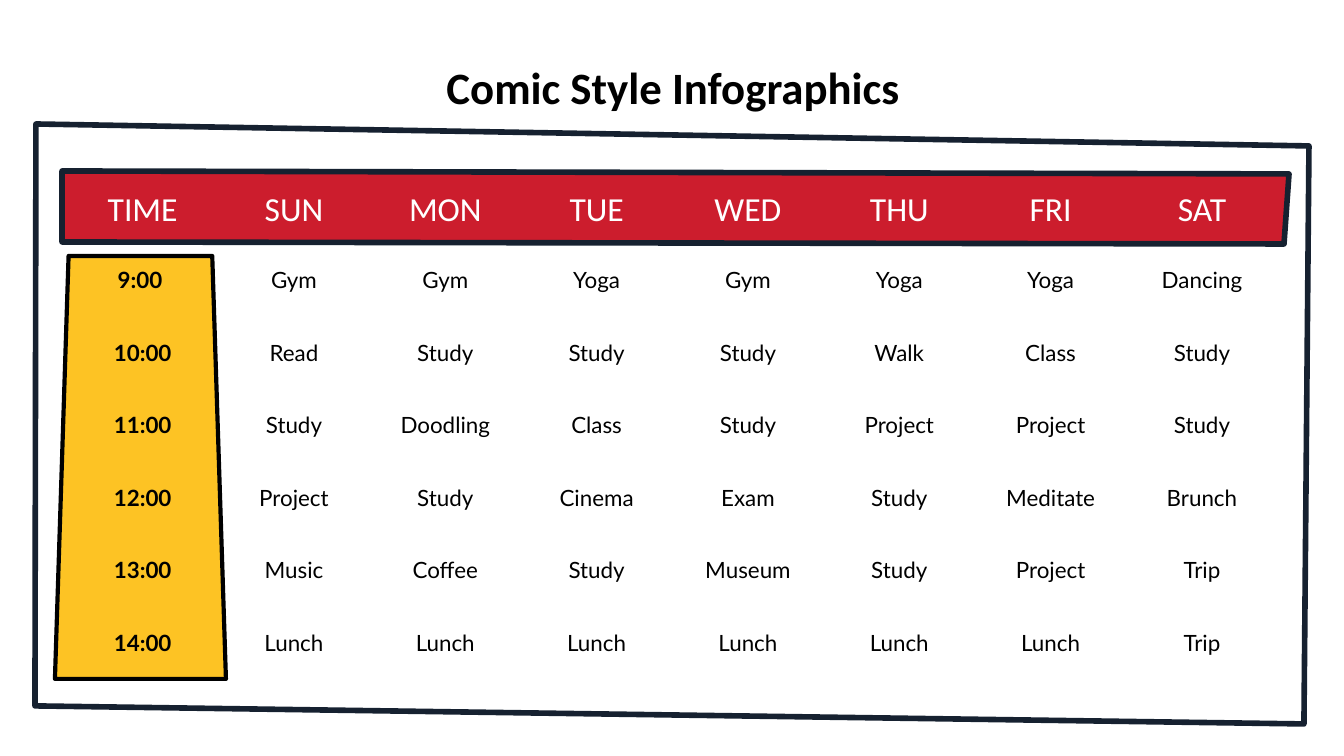
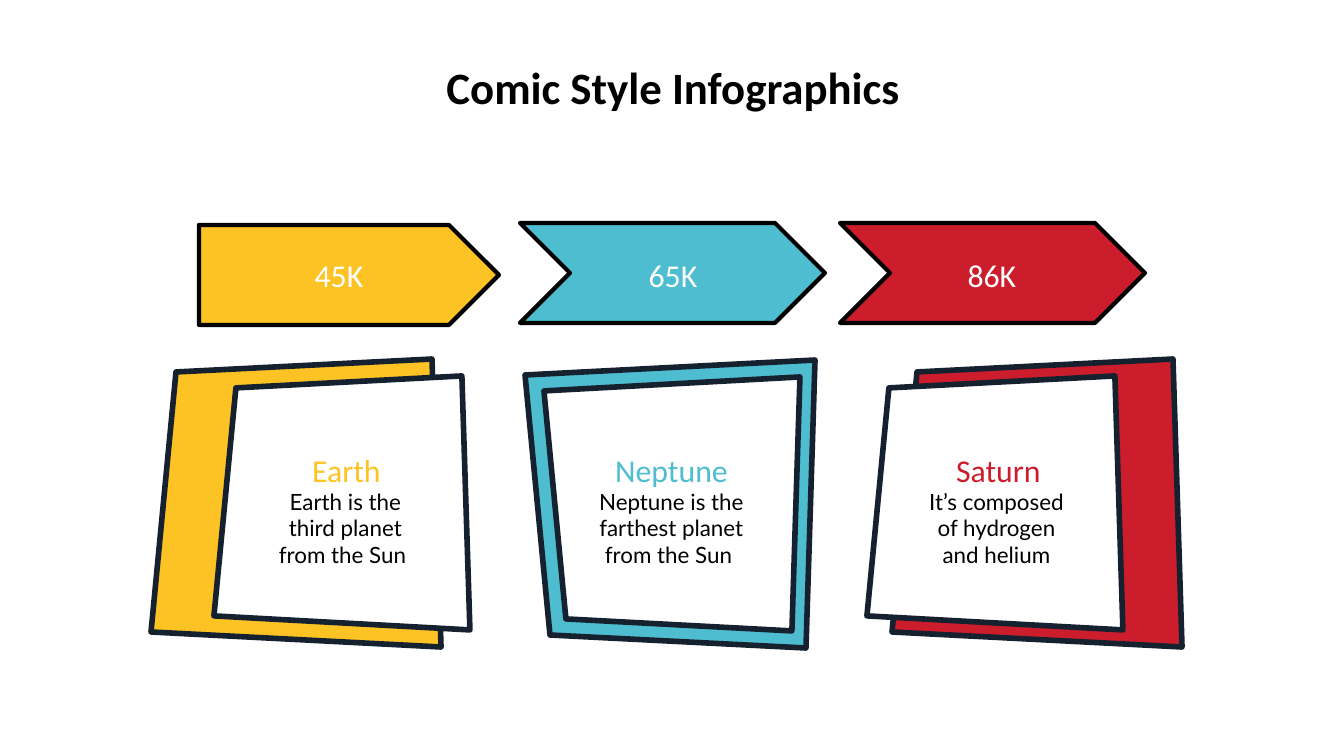
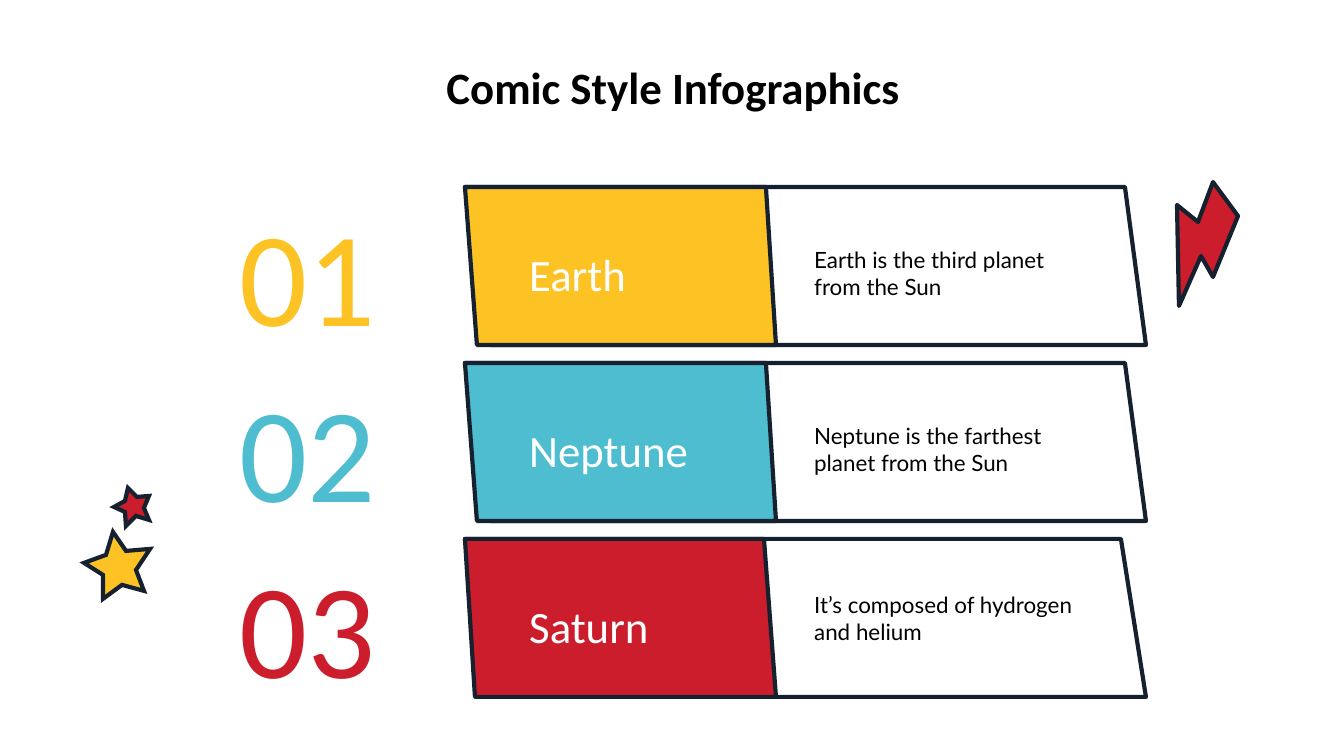
from pptx import Presentation
from pptx.dml.color import RGBColor
from pptx.enum.shapes import MSO_SHAPE
from pptx.enum.text import MSO_ANCHOR, PP_ALIGN
from pptx.oxml.ns import qn
from pptx.util import Emu, Pt
from lxml import etree

EMU = 914400 / 134.4
C = {"ink": "162130", "black": "000000", "white": "FFFFFF",
     "yellow": "FDC324", "blue": "4EBDCF", "red": "CC1D2D"}
HEAD, BODY = "Calibri", "Lato"
INSET = Emu(91440)
NO_GRID = "{2D5ABB26-0587-4C30-8999-92F81FD0307C}"


def draw(s, outline, fill, line="ink", width=2.25):
    if isinstance(outline, list):
        fb = s.shapes.build_freeform(*outline[0], scale=EMU)
        fb.add_line_segments(outline[1:], close=True)
        sp = fb.convert_to_shape()
    else:
        kind, *box = outline
        sp = s.shapes.add_shape(kind, *[Emu(round(v * EMU)) for v in box])
    sp.shadow.inherit = False
    sp.fill.solid()
    sp.fill.fore_color.rgb = RGBColor.from_string(C[fill])
    sp.line.color.rgb = RGBColor.from_string(C[line])
    sp.line.width = Pt(width)
    return sp


def write(s, box, text, size, color, font=HEAD, align=PP_ALIGN.CENTER,
          anchor=MSO_ANCHOR.MIDDLE, bold=False):
    tf = s.shapes.add_textbox(*[Emu(round(v * EMU)) for v in box]).text_frame
    tf.word_wrap = True
    tf.vertical_anchor = anchor
    tf.margin_left = tf.margin_right = tf.margin_top = tf.margin_bottom = INSET
    p = tf.paragraphs[0]
    p.text = text
    p.alignment = align
    p.font.size = Pt(size)
    p.font.name = font
    p.font.bold = bold
    p.font.color.rgb = RGBColor.from_string(C[color])


prs = Presentation()
prs.slide_width = Emu(round(1344 * EMU))
prs.slide_height = Emu(round(756 * EMU))
slides = [prs.slides.add_slide(prs.slide_layouts[6]) for _ in range(3)]
schedule, arrows, ranking = slides

draw(schedule, [(36, 124), (1309, 146), (1304, 724), (35, 706)], "white", width=3)
sp = draw(schedule, (MSO_SHAPE.TRAPEZOID, 55, 256, 171, 423), "yellow", "black")
sp.adjustments[0] = 0.08
draw(schedule, [(62, 171), (1289, 174), (1284, 244), (62, 242)], "red", width=3)

rows = [
    ["TIME", "SUN", "MON", "TUE", "WED", "THU", "FRI", "SAT"],
    ["9:00 ", "Gym", "Gym", "Yoga", "Gym", "Yoga", "Yoga", "Dancing"],
    ["10:00", "Read", "Study", "Study", "Study", "Walk", "Class", "Study"],
    ["11:00", "Study", "Doodling", "Class", "Study", "Project", "Project", "Study"],
    ["12:00", "Project", "Study", "Cinema", "Exam", "Study", "Meditate", "Brunch"],
    ["13:00", "Music", "Coffee", "Study", "Museum", "Study", "Project", "Trip"],
    ["14:00", "Lunch", "Lunch", "Lunch", "Lunch", "Lunch", "Lunch", "Trip"],
]
frame = schedule.shapes.add_table(len(rows), len(rows[0]),
                                  *[Emu(round(v * EMU)) for v in (67, 176, 1211, 499)])
table = frame.table
table.horz_banding = False
table._tbl.tblPr.find(qn("a:tableStyleId")).text = NO_GRID
for i, row in enumerate(rows):
    header = i == 0
    table.rows[i].height = Emu(round((64 if header else 435 / 6) * EMU))
    for j, text in enumerate(row):
        cell = table.cell(i, j)
        cell.fill.background()
        cell.margin_left = cell.margin_right = INSET
        cell.margin_top = cell.margin_bottom = INSET
        cell.vertical_anchor = MSO_ANCHOR.TOP if header else MSO_ANCHOR.MIDDLE
        p = cell.text_frame.paragraphs[0]
        p.text = text
        p.alignment = PP_ALIGN.CENTER
        p.font.size = Pt(18 if header else 12)
        p.font.name = HEAD if header else BODY
        p.font.bold = j == 0 and not header
        p.font.color.rgb = RGBColor.from_string(C["white" if header else "black"])

planets = [
    ("Earth", "Earth is the third planet from the Sun ", "yellow"),
    ("Neptune", "Neptune is the farthest planet from the Sun ", "blue"),
    ("Saturn", "It’s composed of hydrogen and helium", "red"),
]

back = [(176, 372), (432, 359), (441, 647), (151, 632)]
front = [(236, 388), (462, 376), (470, 630), (214, 616)]
cards = [
    ("45K", (MSO_SHAPE.PENTAGON, 199, 225, 300, 100), 212, 0, 0, False, 223, 253),
    ("65K", (MSO_SHAPE.CHEVRON, 520, 223, 305, 100), 546, 374, 330, True, 548, 579),
    ("86K", (MSO_SHAPE.CHEVRON, 840, 223, 305, 100), 865, 741, 653, False, 875, 904),
]
for (name, fact, color), card in zip(planets, cards):
    value, arrow, value_x, back_dx, front_dx, flipped, name_x, fact_x = card
    for points, dx, fill in ((back, back_dx, color), (front, front_dx, "white")):
        draw(arrows, [(x + dx, 1007 - y if flipped else y) for x, y in points],
             fill, width=3)
    draw(arrows, arrow, color, "black")
    write(arrows, (value_x, 243, 254, 63), value, 17, "white")
    write(arrows, (name_x, 438, 247, 63), name, 17, color)
    write(arrows, (fact_x, 489, 185, 78), fact, 12, "black", BODY)

bands = [(1125, 490, 766, 477, 234), (1125, 490, 766, 477, 410), (1121, 485, 764, 475, 579)]
for i, ((name, fact, color), band) in enumerate(zip(planets, bands)):
    band_right, band_foot, label_right, label_foot, fact_y = band
    top = 187 + 176 * i
    foot = top + 158
    draw(ranking, [(465, top), (band_right, top), (1146, foot), (band_foot, foot)], "white")
    draw(ranking, [(465, top), (label_right, top), (776, foot), (label_foot, foot)], color)
    write(ranking, (198, top, 219, 172), f"{i + 1:02}", 72, color)
    write(ranking, (516, top + 55, 267, 63), name, 24, "white", align=PP_ALIGN.LEFT)
    write(ranking, (801, fact_y, 298, 78), fact, 12, "black", BODY, PP_ALIGN.LEFT)

draw(ranking, [(1213, 182), (1238, 216), (1213, 277), (1201, 256), (1179, 306),
               (1177, 205), (1198, 222)], "red")
big_star = [(84, 563), (106, 555), (113, 532), (126, 551), (150, 549),
            (136, 570), (144, 591), (122, 585), (103, 599), (103, 575)]
small_star = [(114, 507), (125, 501), (128, 488), (137, 497), (149, 496),
              (144, 508), (149, 520), (136, 516), (126, 526), (125, 512)]
for star, color in ((big_star, "yellow"), (small_star, "red")):
    sp = draw(ranking, star, color)
    etree.SubElement(sp.line._get_or_add_ln(), qn("a:miter"), lim="800000")

for s in slides:
    write(s, (27, 46, 1292, 84), "Comic Style Infographics", 24, "black",
          anchor=MSO_ANCHOR.TOP, bold=True)

prs.save("out.pptx")
